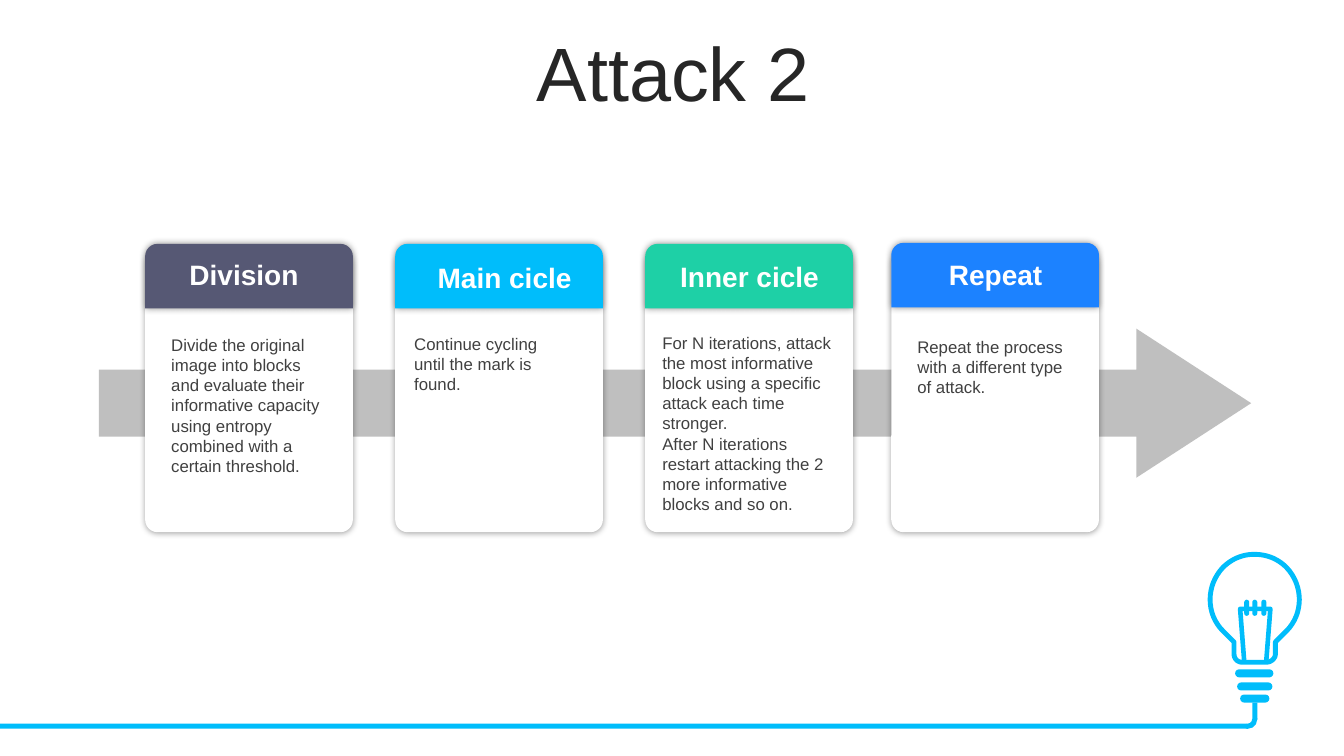
"""Builds the Attack 2 process slide with four cards on an arrow and a light bulb."""
from lxml import etree
from pptx import Presentation
from pptx import util as u
from pptx.dml.color import RGBColor
from pptx.enum import shapes, text
from pptx.oxml.ns import qn

THEME = {
    "font": "Arial",
    "title": (54, "262626", False),
    "label": (20, "FFFFFF", True),
    "body": (12, "404040", False),
    "white": "FFFFFF",
    "arrow": "BFBFBF",
    "bulb": "00BDFB",
    "shadow": "000000",
}

TITLE = "Attack 2"
CARDS = [
    {"label": "Division", "color": "565874", "left": 1.44, "top": 2.42,
     "label_box": (1.73, 2.51, 1.38, 0.44), "body_box": (1.6, 3.27, 1.77, 1.51),
     "body": ["Divide the original image into blocks and evaluate their informative "
              "capacity using entropy combined with a certain threshold."]},
    {"label": "Main cicle", "color": "00BDFB", "left": 3.92, "top": 2.42,
     "label_box": (4.17, 2.54, 1.67, 0.44), "body_box": (4.01, 3.26, 1.77, 0.5),
     "body": ["Continue cycling until the mark is found."]},
    {"label": "Inner cicle", "color": "1ED0A6", "left": 6.4, "top": 2.42,
     "label_box": (6.6, 2.53, 1.67, 0.44), "body_box": (6.47, 3.25, 1.91, 1.92),
     "body": ["For N iterations, attack the most informative block using a specific "
              "attack each time stronger.",
              "After N iterations restart attacking the 2 more informative blocks "
              "and so on."]},
    {"label": "Repeat", "color": "1C82FF", "left": 8.84, "top": 2.41,
     "label_box": (9.23, 2.51, 1.29, 0.44), "body_box": (9, 3.29, 1.77, 0.71),
     "body": ["Repeat the process with a different type of attack."]},
]
CARD_WIDTH, CARD_HEIGHT, CARD_TOP, HEADER_HEIGHT = 2.06, 2.78, 2.5, 0.64

BULB_START = (12.44, 5.5)
BULB_SEGMENTS = [
    (12.56, 5.5, 12.67, 5.54, 12.76, 5.63),
    (12.93, 5.81, 12.93, 6.09, 12.76, 6.26),
    (12.65, 6.37), (12.65, 6.49),
    (12.65, 6.53, 12.61, 6.57, 12.56, 6.57),
    (12.32, 6.57),
    (12.27, 6.57, 12.24, 6.53, 12.24, 6.49),
    (12.24, 6.37), (12.13, 6.26),
    (11.96, 6.09, 11.96, 5.81, 12.13, 5.63),
    (12.22, 5.54, 12.33, 5.5, 12.44, 5.5),
]
FILAMENT = [(12.34, 6.55), (12.3, 6.04), (12.6, 6.04), (12.56, 6.55)]
FILAMENT_TICKS = [12.34, 12.42, 12.51]
BASE_BARS = [(12.25, 6.64, 0.38), (12.27, 6.77, 0.35), (12.3, 6.89, 0.29)]
CABLE = [(0, 7.18, 12.37, 0.05), (12.42, 6.97, 0.05, 0.17)]
CURVE_STEPS = 16


def paint(shape, fill=None, line=None, width=0):
    """Sets fill and outline and removes the shadow."""
    shape.shadow.inherit = False
    if fill:
        shape.fill.solid()
        shape.fill.fore_color.rgb = RGBColor.from_string(fill)
    else:
        shape.fill.background()
    if line:
        shape.line.color.rgb = RGBColor.from_string(line)
        shape.line.width = u.Pt(width)
    else:
        shape.line.fill.background()
    return shape


def add_preset(slide, kind, box, fill, adjustments=()):
    """Adds a filled preset shape."""
    shape = slide.shapes.add_shape(kind, *map(u.Inches, box))
    for index, value in enumerate(adjustments):
        shape.adjustments[index] = value
    return paint(shape, fill)


def add_glow(shape):
    """Adds a soft shadow on all sides."""
    effects = shape._element.spPr.find(qn("a:effectLst"))
    shadow = etree.SubElement(effects, qn("a:outerShdw"), blurRad=str(u.Pt(5)),
                              dist="0", dir="0", algn="ctr", rotWithShape="0")
    color = etree.SubElement(shadow, qn("a:srgbClr"), val=THEME["shadow"])
    etree.SubElement(color, qn("a:alpha"), val="40000")


def add_text(slide, box, paragraphs, style, align=text.PP_ALIGN.LEFT):
    """Adds a wrapped text box in one of the theme's text styles."""
    size, color, bold = THEME[style]
    frame = slide.shapes.add_textbox(*map(u.Inches, box)).text_frame
    frame.word_wrap = True
    frame.text = "\n".join(paragraphs)
    for paragraph in frame.paragraphs:
        paragraph.alignment = align
        font = paragraph.runs[0].font
        font.name, font.size, font.bold = THEME["font"], u.Pt(size), bold
        font.color.rgb = RGBColor.from_string(color)
    return frame


def trace(start, segments):
    """Turns lines and cubic curves into a list of points."""
    points = [start]
    for segment in segments:
        if len(segment) == 2:
            points.append(segment)
            continue
        nodes = [points[-1], segment[:2], segment[2:4], segment[4:]]
        for step in range(1, CURVE_STEPS + 1):
            t = step / CURVE_STEPS
            weights = ((1 - t) ** 3, 3 * t * (1 - t) ** 2, 3 * t * t * (1 - t), t ** 3)
            points.append(tuple(sum(w * node[axis] for w, node in zip(weights, nodes))
                                for axis in (0, 1)))
    return points


def add_outline(slide, points, close, fill, width):
    """Adds a freeform stroked in the bulb colour."""
    points = [(u.Inches(x), u.Inches(y)) for x, y in points]
    builder = slide.shapes.build_freeform(*points[0])
    builder.add_line_segments(points[1:], close=close)
    paint(builder.convert_to_shape(), fill, THEME["bulb"], width)


def add_bulb(slide):
    """Draws the light bulb and its cable."""
    kinds, color = shapes.MSO_SHAPE, THEME["bulb"]
    add_outline(slide, trace(BULB_START, BULB_SEGMENTS), True, THEME["white"], 3.5)
    add_outline(slide, FILAMENT, False, None, 3.3)
    for left in FILAMENT_TICKS:
        add_preset(slide, kinds.ROUNDED_RECTANGLE, (left, 5.95, 0.05, 0.16), color, [0.5])
    for left, top, width in BASE_BARS:
        add_preset(slide, kinds.ROUNDED_RECTANGLE, (left, top, width, 0.08), color, [0.5])
    for box in CABLE:
        add_preset(slide, kinds.RECTANGLE, box, color)
    add_preset(slide, kinds.BLOCK_ARC, (12.28, 7.04, 0.19, 0.19), color,
               [213.39, 60.92, 0.27])


def add_card(slide, card):
    """Draws one card with its header and texts."""
    kinds = shapes.MSO_SHAPE
    panel = (card["left"], CARD_TOP, CARD_WIDTH, CARD_HEIGHT)
    header = (card["left"], card["top"], CARD_WIDTH, HEADER_HEIGHT)
    add_glow(add_preset(slide, kinds.ROUNDED_RECTANGLE, panel, THEME["white"], [0.06]))
    add_glow(add_preset(slide, kinds.ROUND_2_SAME_RECTANGLE, header, card["color"],
                        [0.19, 0]))
    add_text(slide, card["body_box"], card["body"], "body")
    add_text(slide, card["label_box"], [card["label"]], "label", text.PP_ALIGN.CENTER)


def main():
    """Builds and saves the slide."""
    presentation = Presentation()
    presentation.slide_width, presentation.slide_height = u.Inches(13.33), u.Inches(7.5)
    slide = presentation.slides.add_slide(presentation.slide_layouts[6])
    add_bulb(slide)
    title = add_text(slide, (0.35, 0.37, 12.66, 0.79), [TITLE], "title",
                     text.PP_ALIGN.CENTER)
    title.vertical_anchor = text.MSO_ANCHOR.MIDDLE
    title.paragraphs[0].line_spacing = 0.9
    title.paragraphs[0].space_before = u.Pt(10)
    add_preset(slide, shapes.MSO_SHAPE.RIGHT_ARROW, (0.98, 3.26, 11.43, 1.48),
               THEME["arrow"], [0.45, 0.77])
    for card in CARDS:
        add_card(slide, card)
    presentation.save("out.pptx")


if __name__ == "__main__":
    main()
